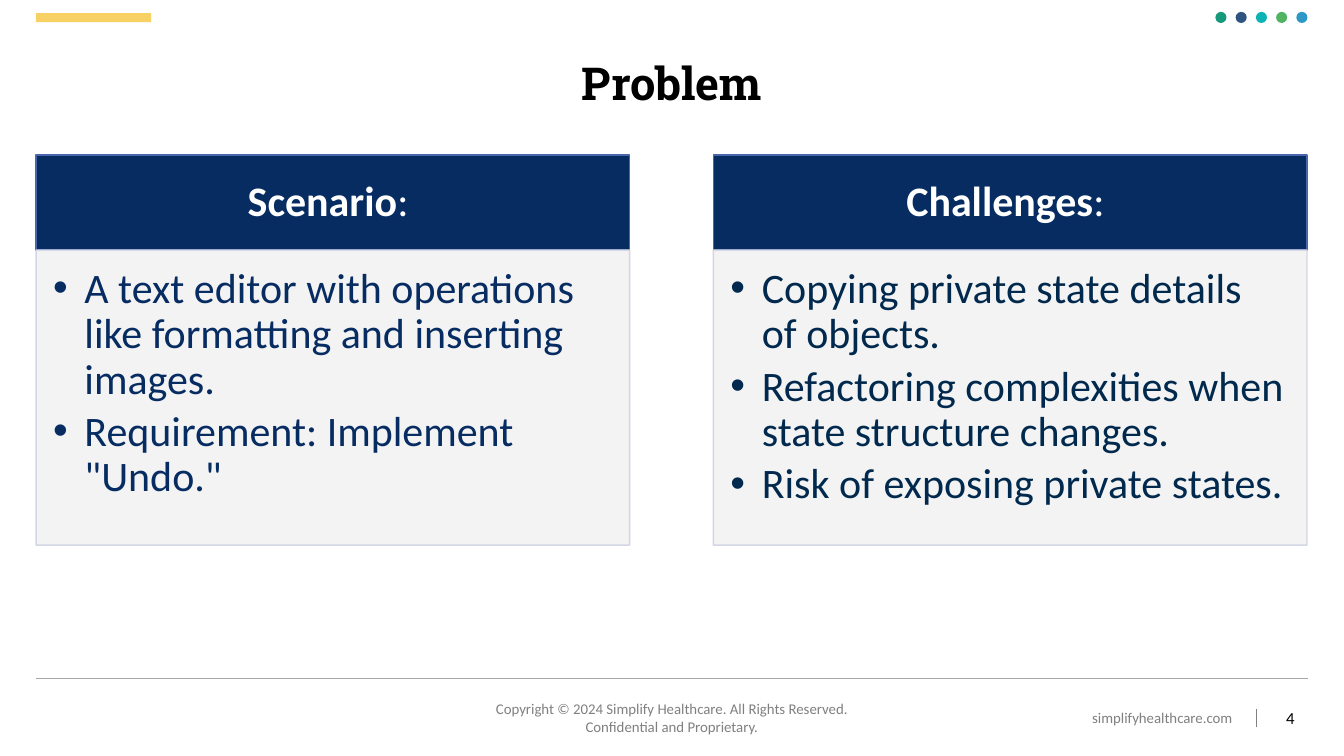
import pptx
import pptx.dml.color
import pptx.enum.shapes
import pptx.enum.text
import pptx.oxml
import pptx.oxml.ns
import pptx.util
from pptx.util import Cm, Pt

ALIGN = pptx.enum.text.PP_ALIGN
ANCHOR = pptx.enum.text.MSO_ANCHOR
SHAPE = pptx.enum.shapes.MSO_SHAPE

COLORS = {
    "navy": "072C62", "header_line": "4A66AC", "panel": "F2F2F2",
    "panel_line": "D0D3E3", "challenge_text": "01294E", "white": "FFFFFF",
    "black": "000000", "gray": "808080", "rule": "A6A6A6", "accent": "F8D164",
}
DOT_COLORS = ["16987A", "2F5480", "0DB3B2", "52B463", "2D97C6"]

MARGIN = 0.91
PANEL_WIDTH = 14.96
PANELS = [
    (MARGIN, "Scenario", COLORS["navy"], [
        "A text editor with operations like formatting and inserting images.",
        'Requirement: Implement "Undo."',
    ]),
    (17.98, "Challenges", COLORS["challenge_text"], [
        "Copying private state details of objects.",
        "Refactoring complexities when state structure changes.",
        "Risk of exposing private states.",
    ]),
]


def rgb(color):
    return pptx.dml.color.RGBColor.from_string(color)


def add_element(parent, tag, **attributes):
    element = pptx.oxml.parse_xml(f"<a:{tag} {pptx.oxml.ns.nsdecls('a')}/>")
    for name, value in attributes.items():
        element.set(name, value)
    parent.append(element)


def add_run(paragraph, text, size, color, font="Calibri", bold=False):
    run = paragraph.add_run()
    run.text = text
    run.font.name = font
    run.font.size = Pt(size)
    run.font.bold = bold
    run.font.color.rgb = rgb(color)


def set_frame(frame, margins, anchor=ANCHOR.TOP, wrap=True):
    """Set margins (left, top, right, bottom, in cm), anchor and wrapping."""
    frame.margin_left, frame.margin_top, frame.margin_right, frame.margin_bottom = map(Cm, margins)
    frame.vertical_anchor = anchor
    frame.word_wrap = wrap
    frame.auto_size = pptx.enum.text.MSO_AUTO_SIZE.NONE


def add_filled_shape(slide, kind, box, fill, line=None):
    shape = slide.shapes.add_shape(kind, *map(Cm, box))
    shape.shadow.inherit = False
    shape.fill.solid()
    shape.fill.fore_color.rgb = rgb(fill)
    if line:
        shape.line.color.rgb = rgb(line)
        shape.line.width = Pt(1)
    else:
        shape.line.fill.background()
    return shape


def add_rule(slide, start, end, color):
    rule = slide.shapes.add_connector(
        pptx.enum.shapes.MSO_CONNECTOR.STRAIGHT, *map(Cm, start + end))
    rule.line.color.rgb = rgb(color)
    rule.line.width = Pt(1)
    add_element(rule._element.spPr, "effectLst")


def add_footer_text(slide, box, lines, size=10.6, color=COLORS["gray"], align=ALIGN.CENTER,
                    margins=(0.25, 0.13, 0.25, 0.13), anchor=ANCHOR.TOP, wrap=True):
    frame = slide.shapes.add_textbox(*map(Cm, box)).text_frame
    set_frame(frame, margins, anchor, wrap)
    paragraph = frame.paragraphs[0]
    paragraph.alignment = align
    for index, line in enumerate(lines):
        if index:
            paragraph.add_line_break()
        add_run(paragraph, line, size, color)


def add_panel_header(slide, left, heading):
    header = add_filled_shape(slide, SHAPE.RECTANGLE, (left, 3.91, PANEL_WIDTH, 2.39),
                              COLORS["navy"], COLORS["header_line"])
    set_frame(header.text_frame, (0.58, 0.33, 0.58, 0.33), ANCHOR.MIDDLE)
    paragraph = header.text_frame.paragraphs[0]
    paragraph.alignment = ALIGN.CENTER
    paragraph.line_spacing = 0.9
    add_run(paragraph, heading, 30, COLORS["white"], bold=True)
    add_run(paragraph, ": ", 30, COLORS["white"])


def add_panel_body(slide, left, color, bullets):
    body = add_filled_shape(slide, SHAPE.RECTANGLE, (left, 6.3, PANEL_WIDTH, 7.44),
                            COLORS["panel"], COLORS["panel_line"])
    for fill_color in body._element.spPr.iter(pptx.oxml.ns.qn("a:srgbClr")):
        add_element(fill_color, "alpha", val="90000")
    frame = body.text_frame
    set_frame(frame, (0.43, 0.43, 0.58, 0.66))
    for index, bullet in enumerate(bullets):
        paragraph = frame.add_paragraph() if index else frame.paragraphs[0]
        paragraph.alignment = ALIGN.LEFT
        paragraph.level = 1
        paragraph.line_spacing = 0.9
        paragraph.space_after = Pt(5)
        properties = paragraph._p.get_or_add_pPr()
        properties.set("marL", str(Cm(0.79)))
        properties.set("indent", str(-Cm(0.79)))
        add_element(properties, "buFont", typeface="Arial")
        add_element(properties, "buChar", char="•")
        add_run(paragraph, bullet, 30, color)


def add_title(slide, text):
    title = slide.shapes.title
    title.left, title.top, title.width, title.height = map(Cm, (0, 1.55, 33.87, 1.27))
    set_frame(title.text_frame, (0, 0, 0, 0))
    paragraph = title.text_frame.paragraphs[0]
    paragraph.alignment = ALIGN.CENTER
    paragraph.line_spacing = 0.9
    add_run(paragraph, text, 32.4, COLORS["black"], "Roboto Slab", True)


def add_top_decoration(slide):
    add_filled_shape(slide, SHAPE.RECTANGLE, (MARGIN, 0.33, 2.9, 0.23), COLORS["accent"])
    for index, color in enumerate(DOT_COLORS):
        add_filled_shape(slide, SHAPE.OVAL, (30.63 + index * 0.51, 0.3, 0.28, 0.28), color)


def add_footer(slide):
    add_rule(slide, (MARGIN, 17.09), (32.97, 17.09), COLORS["rule"])
    add_footer_text(slide, (11.94, 17.5, 9.98, 1.17), [
        "Copyright © 2024 Simplify Healthcare. All Rights Reserved.",
        "Confidential and Proprietary.",
    ])
    add_footer_text(slide, (27.03, 17.73, 4.52, 0.71), ["simplifyhealthcare.com"])
    add_rule(slide, (31.67, 17.86), (31.67, 18.31), COLORS["gray"])
    add_footer_text(slide, (31.88, 17.58, 1.57, 1.02), ["4"], 12, COLORS["black"], ALIGN.LEFT,
                    (0.53, 0.28, 0.53, 0.28), ANCHOR.MIDDLE, False)


def main():
    presentation = pptx.Presentation()
    presentation.slide_width = Cm(33.87)
    presentation.slide_height = Cm(19.05)
    slide = presentation.slides.add_slide(presentation.slide_layouts[5])
    slide.background.fill.solid()
    slide.background.fill.fore_color.rgb = rgb(COLORS["white"])
    add_footer(slide)
    add_top_decoration(slide)
    add_title(slide, "Problem")
    for left, heading, color, bullets in PANELS:
        add_panel_header(slide, left, heading)
        add_panel_body(slide, left, color, bullets)
    presentation.save("out.pptx")


if __name__ == "__main__":
    main()
